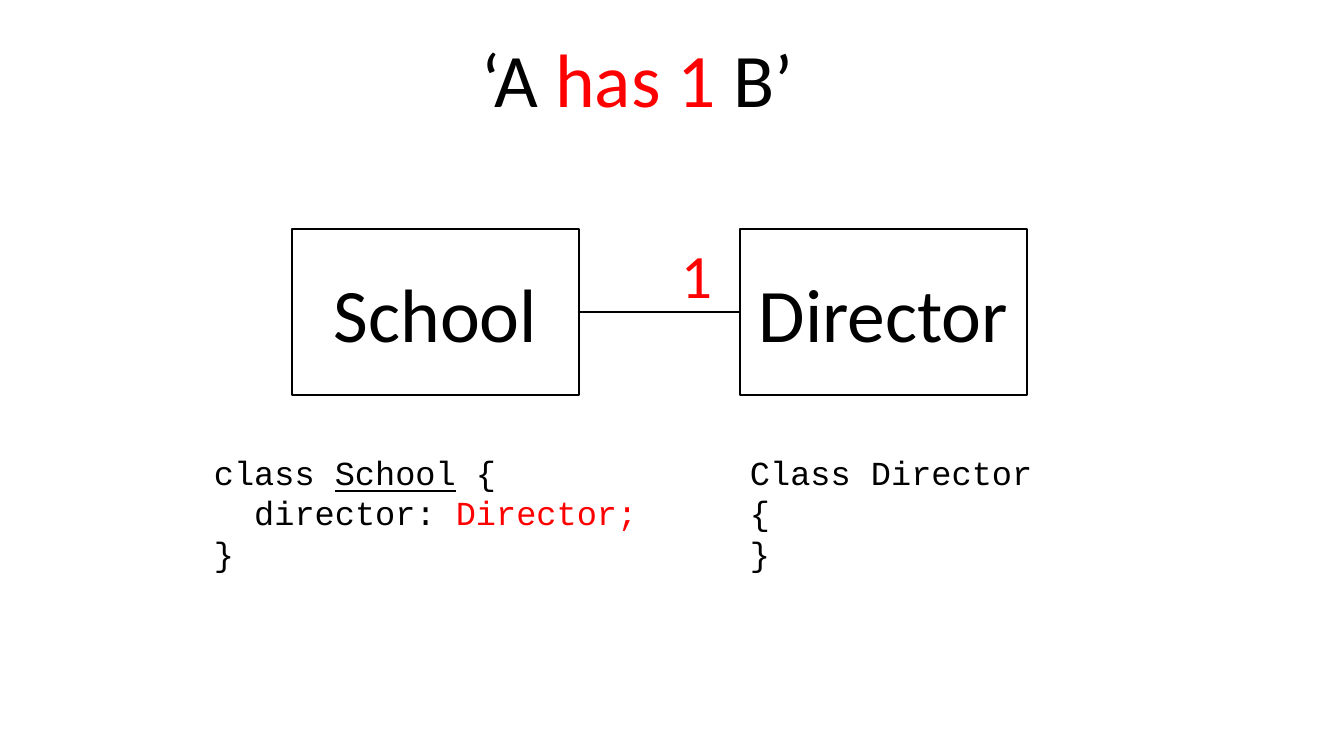
from dataclasses import dataclass

from lxml import etree
from pptx import Presentation, util as u
from pptx.dml.color import RGBColor
from pptx.enum import shapes, text
from pptx.oxml.ns import qn

PX = 9525 * 96 / 100.8


@dataclass(frozen=True)
class Theme:
    ink: str = "000000"
    paper: str = "FFFFFF"
    accent: str = "FF0000"
    sans: str = "Calibri"
    mono: str = "Courier New"
    big: int = 54
    mid: int = 44
    small: int = 24


T = Theme()


def px(n):
    return u.Emu(round(n * PX))


def rgb(code):
    return RGBColor.from_string(code)


def write(frame, lines, size, font=T.sans, align=text.PP_ALIGN.LEFT):
    """Fill a frame; each line is a list of (words, color, underline) runs."""
    for i, line in enumerate(lines):
        par = frame.paragraphs[0] if i == 0 else frame.add_paragraph()
        par.alignment = align
        for words, color, under in line:
            run = par.add_run()
            run.text = words
            run.font.name = font
            run.font.size = u.Pt(size)
            run.font.color.rgb = rgb(color)
            run.font.underline = under


def plain(words, color=T.ink, under=False):
    return words, color, under


def label(slide, box, lines, size, wrap=False, **form):
    frame = slide.shapes.add_textbox(*map(px, box)).text_frame
    frame.word_wrap = wrap
    frame.auto_size = text.MSO_AUTO_SIZE.SHAPE_TO_FIT_TEXT
    write(frame, lines, size, **form)


def entity(slide, box, name):
    rect = slide.shapes.add_shape(shapes.MSO_SHAPE.RECTANGLE, *map(px, box))
    rect.shadow.inherit = False
    rect.fill.solid()
    rect.fill.fore_color.rgb = rgb(T.paper)
    rect.line.color.rgb = rgb(T.ink)
    rect.line.width = u.Pt(1)
    rect.text_frame.word_wrap = True
    rect.text_frame.vertical_anchor = text.MSO_ANCHOR.MIDDLE
    write(rect.text_frame, [[plain(name)]], T.big, align=text.PP_ALIGN.CENTER)
    return rect


def link(slide, start, end):
    """Join the right side of start to the left side of end."""
    line = slide.shapes.add_connector(shapes.MSO_CONNECTOR.STRAIGHT, 0, 0, 0, 0)
    line.begin_connect(start, 3)
    line.end_connect(end, 1)
    line.line.color.rgb = rgb(T.ink)
    line.line.width = u.Pt(1)
    etree.SubElement(line._element.spPr, qn("a:effectLst"))


def diagram(slide, x, y, w, h):
    wide = 287
    school = entity(slide, (x, y, wide, h), "School")
    boss = entity(slide, (x + w - wide, y, wide, h), "Director")
    link(slide, school, boss)
    label(slide, (x + w - wide - 69, y + 3, 51, 85),
          [[plain("1", T.accent)]], T.mid)


def code(slide, x, y, w, h):
    right = 320
    label(slide, (x, y, 469, h),
          [[plain("class "), plain("School", under=True), plain(" {")],
           [plain("  director: "), plain("Director;", T.accent)],
           [plain("}")]],
          T.small, wrap=True, font=T.mono)
    label(slide, (x + w - right, y, right, 132),
          [[plain("Class Director {")], [plain("}")]],
          T.small, wrap=True, font=T.mono)


def title(slide, box):
    label(slide, box,
          [[plain("‘A "), plain("has 1 ", T.accent), plain("B’")]],
          T.big, align=text.PP_ALIGN.JUSTIFY)


def main():
    deck = Presentation()
    deck.slide_width, deck.slide_height = px(1344), px(756)
    slide = deck.slides.add_slide(deck.slide_layouts[6])
    title(slide, (472, 27, 335, 102))
    diagram(slide, 292, 229, 735, 166)
    code(slide, 204, 447, 856, 173)
    deck.save("out.pptx")


if __name__ == "__main__":
    main()
